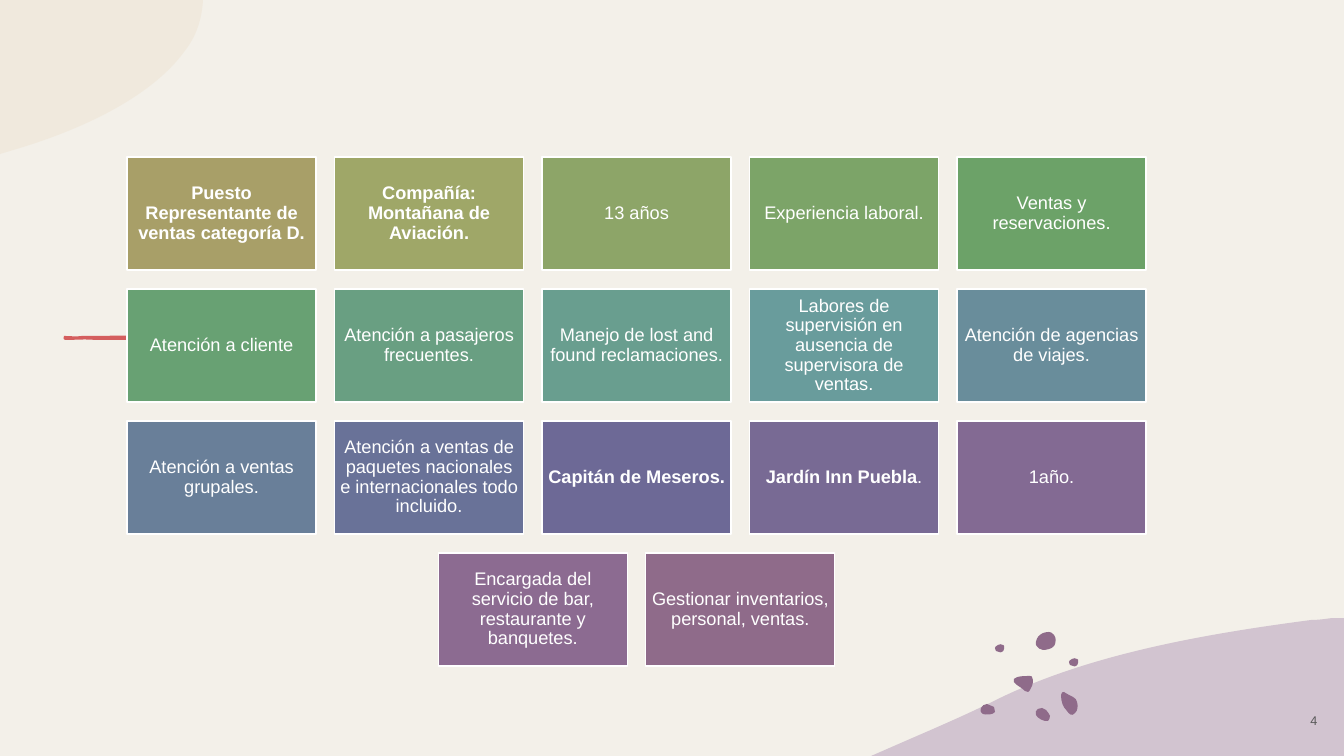
import pptx
import pptx.dml.color
import pptx.enum.shapes
import pptx.enum.text
import pptx.oxml.ns
import pptx.util
from lxml import etree

# Content: each card is (fill, [(text, bold), ...])
FONT = "Arial"
WHITE = "FFFFFF"
GROUND = "F3F0E9"
PAGE_NUMBER = "4"
CARD_ROWS = [
    [
        ("A89F68", [("Puesto Representante de ventas categoría D.", True)]),
        ("9FA768", [("Compañía: Montañana de Aviación.", True)]),
        ("8DA568", [("13 años", False)]),
        ("7CA468", [("Experiencia laboral.", False)]),
        ("6CA268", [("Ventas y reservaciones.", False)]),
    ],
    [
        ("68A173", [("Atención a cliente", False)]),
        ("699F82", [("Atención a pasajeros frecuentes.", False)]),
        ("699E8F", [("Manejo de lost and found reclamaciones.", False)]),
        ("699C9C", [("Labores de supervisión en ausencia de supervisora de ventas.", False)]),
        ("698D9B", [("Atención de agencias de viajes.", False)]),
    ],
    [
        ("697F99", [("Atención a ventas grupales.", False)]),
        ("697298", [("Atención a ventas de paquetes nacionales e internacionales todo incluido.", False)]),
        ("6D6996", [("Capitán de Meseros.", True)]),
        ("786A94", [("Jardín Inn Puebla", True), (".", False)]),
        ("836A93", [("1año.", False)]),
    ],
    [
        ("8C6B91", [("Encargada del servicio de bar, restaurante y banquetes.", False)]),
        ("8F6B8A", [("Gestionar inventarios, personal, ventas.", False)]),
    ],
]

# Outlines in px: a pair is a straight step, six numbers are a cubic curve
CORNER = [(203, -2), (0, -2), (0, 154), (20, 148),
          (92, 126, 154, 93, 184, 52), (197, 36, 202, 18, 203, 0)]
HILL = [(1344, 618), (1332, 618), (1325, 619, 1318, 620, 1311, 620),
        (1204, 634, 1091, 654, 1000, 698), (970, 713, 940, 726, 910, 739),
        (871, 756), (1344, 756)]
DASH = [(64, 336), (70, 336, 76, 337, 82, 336), (95, 336), (175, 335),
        (173, 337, 172, 340, 167, 340), (95, 340),
        (85, 339, 75, 340, 66, 340), (62, 340, 64, 337, 64, 336)]
SMALL_PEBBLE = [(9, 5), (9, 5, 10, 1, 8, 1), (6, 0, 5, 0, 3, 1), (1, 2, 0, 3, 0, 4),
                (0, 5, 1, 7, 1, 7), (2, 7, 2, 8, 4, 8), (5, 8, 6, 9, 7, 8), (8, 7, 9, 7, 9, 5)]
# Each pebble is (left, top, outline)
PEBBLES = [
    (1035, 708, [(7, 0), (6, 0, 4, 1, 3, 1), (1, 2, 0, 4, 1, 7), (2, 10, 9, 14, 13, 13),
                 (14, 12, 15, 10, 15, 8), (14, 6, 13, 4, 11, 2), (10, 1, 9, 1, 7, 0)]),
    (1061, 692, [(3, 0), (2, 0, 0, 0, 0, 3), (0, 10, 2, 15, 6, 19), (8, 22, 11, 25, 14, 21),
                 (17, 19, 17, 13, 16, 10), (16, 8, 14, 6, 12, 5), (10, 4, 6, 2, 3, 0)]),
    (980, 704, [(7, 0), (4, 0, 2, 2, 1, 4), (0, 6, 0, 8, 3, 10), (6, 11, 13, 11, 15, 8),
                (15, 6, 15, 5, 14, 3), (12, 2, 9, 1, 7, 0)]),
    (1035, 632, [(20, 12), (20, 12, 22, 6, 19, 3), (16, 1, 17, 0, 14, 0), (11, 0, 7, 1, 5, 3),
                 (3, 4, 0, 9, 1, 13), (3, 16, 5, 18, 8, 18), (11, 18, 16, 17, 18, 15),
                 (19, 14, 20, 13, 20, 12)]),
    (995, 644, SMALL_PEBBLE),
    (1069, 658, SMALL_PEBBLE),
    (1014, 676, [(13, 0), (7, 0, -3, 1, 0, 6), (1, 7, 2, 8, 3, 9), (6, 11, 9, 13, 11, 15),
                 (12, 15, 13, 16, 14, 16), (15, 15, 16, 15, 16, 14), (18, 11, 19, 8, 19, 4),
                 (19, 3, 19, 2, 18, 1), (18, 0, 17, 0, 16, 0)]),
]

# Layout in px
SLIDE_WIDTH, SLIDE_HEIGHT = 1344, 756
GRID_LEFT, GRID_TOP, GRID_WIDTH = 127, 157, 1019
CARD_WIDTH, CARD_HEIGHT, ROW_GAP = 189, 113, 19
COLUMN_GAP = (GRID_WIDTH - 5 * CARD_WIDTH) / 4
CARD_INSET = 5
EMU_PER_PX = 914400 / 100.8


def px(length):
    return pptx.util.Emu(round(length * EMU_PER_PX))


def color(hex_text):
    return pptx.dml.color.RGBColor.from_string(hex_text)


def paint(shape, fill, alpha=100):
    shape.shadow.inherit = False
    shape.fill.solid()
    shape.fill.fore_color.rgb = color(fill)
    shape.line.fill.background()
    if alpha < 100:
        fill_color = shape._element.spPr.find(".//" + pptx.oxml.ns.qn("a:srgbClr"))
        etree.SubElement(fill_color, pptx.oxml.ns.qn("a:alpha")).set("val", str(alpha * 1000))


def add_outline(slide, outline, fill, left=0, top=0, alpha=100):
    """Draw the end points as a freeform, then bend the curved steps."""
    corners = [(px(left + step[-2]), px(top + step[-1])) for step in outline]
    builder = slide.shapes.build_freeform(*corners[0], scale=1.0)
    builder.add_line_segments(corners[1:], close=True)
    shape = builder.convert_to_shape()
    segments = list(shape._element.iter(pptx.oxml.ns.qn("a:lnTo")))
    for segment, step in zip(segments, outline[1:]):
        if len(step) == 2:
            continue
        curve = etree.Element(pptx.oxml.ns.qn("a:cubicBezTo"))
        for x, y in zip(step[::2], step[1::2]):
            point = etree.SubElement(curve, pptx.oxml.ns.qn("a:pt"))
            point.set("x", str(px(left + x) - shape.left))
            point.set("y", str(px(top + y) - shape.top))
        segment.getparent().replace(segment, curve)
    paint(shape, fill, alpha)


def add_rectangle(slide, left, top, width, height, fill):
    rectangle = slide.shapes.add_shape(pptx.enum.shapes.MSO_SHAPE.RECTANGLE,
                                       px(left), px(top), px(width), px(height))
    paint(rectangle, fill)
    return rectangle


def write(shape, runs, size, font_color, inset):
    text_frame = shape.text_frame
    text_frame.word_wrap = True
    text_frame.vertical_anchor = pptx.enum.text.MSO_ANCHOR.MIDDLE
    text_frame.margin_left = text_frame.margin_right = px(inset)
    text_frame.margin_top = text_frame.margin_bottom = px(inset)
    paragraph = text_frame.paragraphs[0]
    paragraph.alignment = pptx.enum.text.PP_ALIGN.CENTER
    for text, bold in runs:
        run = paragraph.add_run()
        run.text = text
        run.font.name = FONT
        run.font.size = pptx.util.Pt(size)
        run.font.bold = bold
        run.font.color.rgb = color(font_color)
    return paragraph


def add_card(slide, left, top, fill, runs):
    card = add_rectangle(slide, left, top, CARD_WIDTH, CARD_HEIGHT, fill)
    card.line.color.rgb = color(WHITE)
    card.line.width = pptx.util.Pt(1)
    write(card, runs, 13, WHITE, CARD_INSET).line_spacing = 0.9


def main():
    presentation = pptx.Presentation()
    presentation.slide_width = px(SLIDE_WIDTH)
    presentation.slide_height = px(SLIDE_HEIGHT)
    slide = presentation.slides.add_slide(presentation.slide_layouts[6])
    slide.background.fill.solid()
    slide.background.fill.fore_color.rgb = color(GROUND)

    # Ground and decorations
    add_rectangle(slide, 0, 0, SLIDE_WIDTH, SLIDE_HEIGHT, GROUND)
    add_outline(slide, CORNER, "E7CFAF", alpha=20)
    add_outline(slide, DASH, "D45E5E")
    add_outline(slide, HILL, "D2C4D0")
    for left, top, outline in PEBBLES:
        add_outline(slide, outline, "8F6B8A", left, top)

    # Cards, each row centred in the grid
    for row, cards in enumerate(CARD_ROWS):
        row_width = len(cards) * (CARD_WIDTH + COLUMN_GAP) - COLUMN_GAP
        row_left = GRID_LEFT + (GRID_WIDTH - row_width) / 2
        top = GRID_TOP + row * (CARD_HEIGHT + ROW_GAP)
        for column, (fill, runs) in enumerate(cards):
            add_card(slide, row_left + column * (CARD_WIDTH + COLUMN_GAP), top, fill, runs)

    # Page number
    number_box = slide.shapes.add_textbox(px(1285), px(701), px(58), px(40))
    paragraph = write(number_box, [(PAGE_NUMBER, False)], 9, "595959", CARD_INSET)
    paragraph.runs[0]._r.get_or_add_rPr().set("spc", "110")

    presentation.save("out.pptx")


if __name__ == "__main__":
    main()
